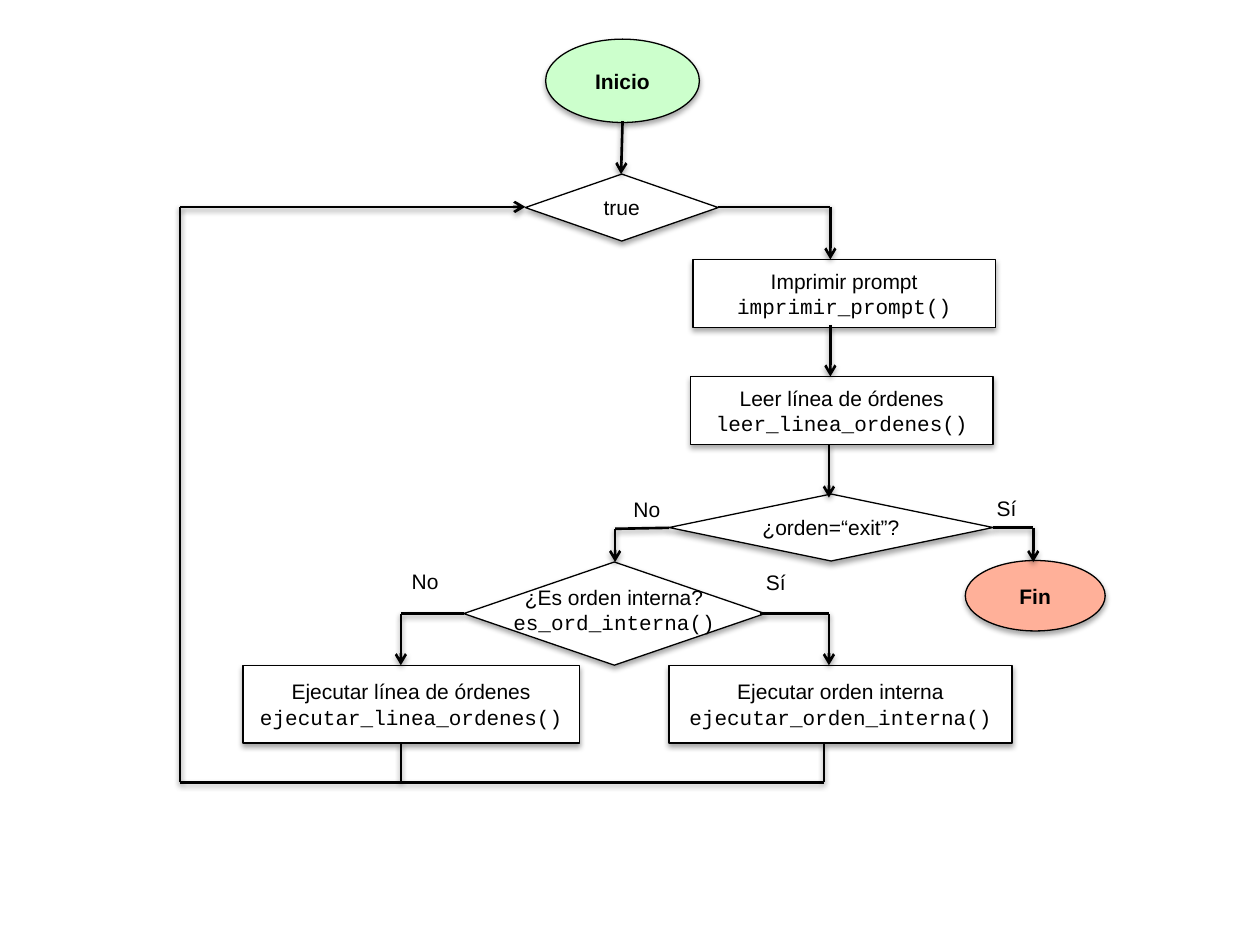
from lxml.etree import SubElement
from pptx import Presentation
from pptx.dml.color import RGBColor
from pptx.enum.shapes import MSO_CONNECTOR, MSO_SHAPE
from pptx.enum.text import MSO_ANCHOR, MSO_AUTO_SIZE, PP_ALIGN
from pptx.oxml.ns import qn
from pptx.util import Cm, Pt

BLACK = RGBColor(0x00, 0x00, 0x00)
WHITE = RGBColor(0xFF, 0xFF, 0xFF)
GREEN = RGBColor(0xCC, 0xFF, 0xCC)
SALMON = RGBColor(0xFF, 0xB0, 0x99)
OVAL, DIAMOND, RECT = MSO_SHAPE.OVAL, MSO_SHAPE.DIAMOND, MSO_SHAPE.RECTANGLE
CENTER, LEFT = PP_ALIGN.CENTER, PP_ALIGN.LEFT


def add_shadow(effects, distance, opacity):
    shadow = SubElement(effects, qn("a:outerShdw"), blurRad="40000", dist=str(distance),
                        dir="5400000", rotWithShape="0")
    color = SubElement(shadow, qn("a:srgbClr"), val=str(BLACK))
    SubElement(color, qn("a:alpha"), val=str(opacity * 1000))


def write_text(box, lines, align, bold=False):
    frame = box.text_frame
    for number, line in enumerate(lines):
        para = frame.paragraphs[0] if number == 0 else frame.add_paragraph()
        para.alignment = align
        span = para.add_run()
        span.text = line
        span.font.color.rgb = BLACK
        font_format = {"name": "Courier New" if number else "Arial", "size": Pt(12), "bold": bold}
        for name, value in font_format.items():
            setattr(span.font, name, value)


deck = Presentation()
deck.slide_width, deck.slide_height = Cm(25.4), Cm(19.05)
page = deck.slides.add_slide(deck.slide_layouts[6])
flowchart = page.shapes.add_group_shape().shapes

steps = [
    (OVAL, 11.0, 0.79, 3.1, 1.68, GREEN, ["Inicio"]),
    (DIAMOND, 10.59, 3.51, 3.89, 1.35, WHITE, ["true"]),
    (RECT, 13.97, 5.23, 6.1, 1.37, WHITE, ["Imprimir prompt", "imprimir_prompt()"]),
    (RECT, 13.92, 7.59, 6.1, 1.37, WHITE, ["Leer línea de órdenes", "leer_linea_ordenes()"]),
    (DIAMOND, 13.49, 9.96, 6.53, 1.35, WHITE, ["¿orden=“exit”?"]),
    (OVAL, 19.46, 11.3, 2.82, 1.42, SALMON, ["Fin"]),
    (DIAMOND, 9.35, 11.33, 6.07, 2.08, WHITE, []),
    (RECT, 13.49, 13.41, 6.91, 1.57, WHITE, ["Ejecutar orden interna", "ejecutar_orden_interna()"]),
    (RECT, 4.9, 13.41, 6.78, 1.57, WHITE, ["Ejecutar línea de órdenes", "ejecutar_linea_ordenes()"]),
]
for kind, left, top, width, height, color, lines in steps:
    step = flowchart.add_shape(kind, Cm(left), Cm(top), Cm(width), Cm(height))
    step.fill.solid()
    step.fill.fore_color.rgb = color
    step.line.color.rgb = BLACK
    step.line.width = Pt(0.75)
    step.shadow.inherit = False
    add_shadow(step.element.spPr.find(qn("a:effectLst")), 23000, 35)
    step.text_frame.vertical_anchor = MSO_ANCHOR.MIDDLE
    write_text(step, lines, CENTER, bold=kind == OVAL)

routes = [
    ([(12.55, 2.44), (12.52, 3.51)], True),
    ([(14.48, 4.17), (16.74, 4.17), (16.74, 5.23)], True),
    ([(16.74, 6.55), (16.74, 7.59)], True),
    ([(16.71, 8.97), (16.71, 10.03)], True),
    ([(20.02, 10.64), (20.83, 10.64), (20.83, 11.33)], True),
    ([(13.49, 10.64), (12.4, 10.66), (12.4, 11.33)], True),
    ([(15.32, 12.37), (16.71, 12.37), (16.71, 13.41)], True),
    ([(9.35, 12.37), (8.08, 12.37), (8.08, 13.41)], True),
    ([(8.08, 14.99), (8.08, 15.77)], False),
    ([(16.61, 14.99), (16.61, 15.77), (3.63, 15.77), (3.63, 4.17), (10.59, 4.17)], True),
]
for points, has_arrow in routes:
    for start, end in zip(points, points[1:]):
        line = flowchart.add_connector(MSO_CONNECTOR.STRAIGHT, *map(Cm, start + end))
        line.line.color.rgb = BLACK
        line.line.width = Pt(1.5)
        if has_arrow and end == points[-1]:
            SubElement(line.line._get_or_add_ln(), qn("a:tailEnd"), type="arrow")
        add_shadow(SubElement(line.element.spPr, qn("a:effectLst")), 20000, 38)

labels = [
    (19.84, 9.86, 0.91, 0.76, ["Sí"], LEFT, False),
    (12.52, 9.88, 1.07, 0.76, ["No"], LEFT, False),
    (8.05, 11.33, 1.07, 0.76, ["No"], LEFT, False),
    (15.19, 11.35, 0.94, 0.76, ["Sí"], LEFT, False),
    (10.08, 11.66, 4.6, 1.27, ["¿Es orden interna?", "es_ord_interna()"], CENTER, True),
]
for left, top, width, height, lines, align, wraps in labels:
    label = flowchart.add_textbox(Cm(left), Cm(top), Cm(width), Cm(height))
    frame_format = {"word_wrap": wraps, "auto_size": MSO_AUTO_SIZE.SHAPE_TO_FIT_TEXT}
    for name, value in frame_format.items():
        setattr(label.text_frame, name, value)
    write_text(label, lines, align)

deck.save("out.pptx")
